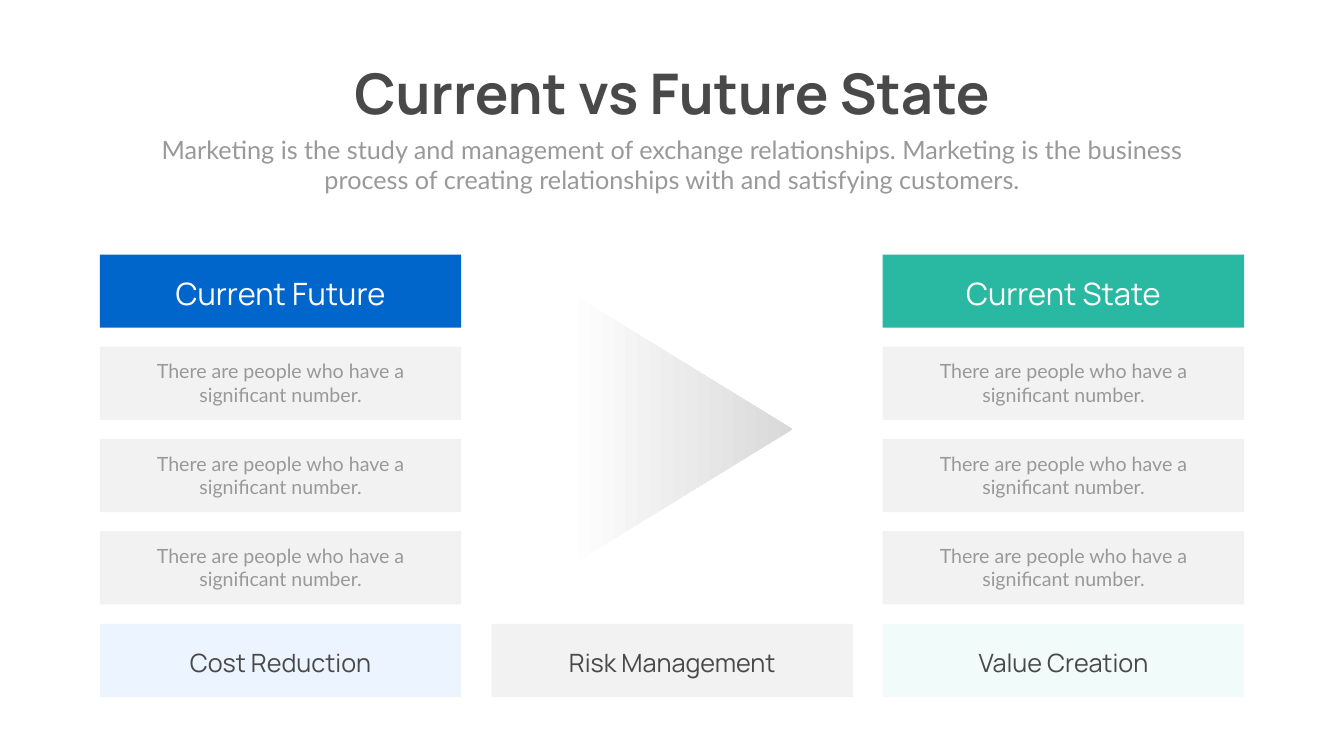
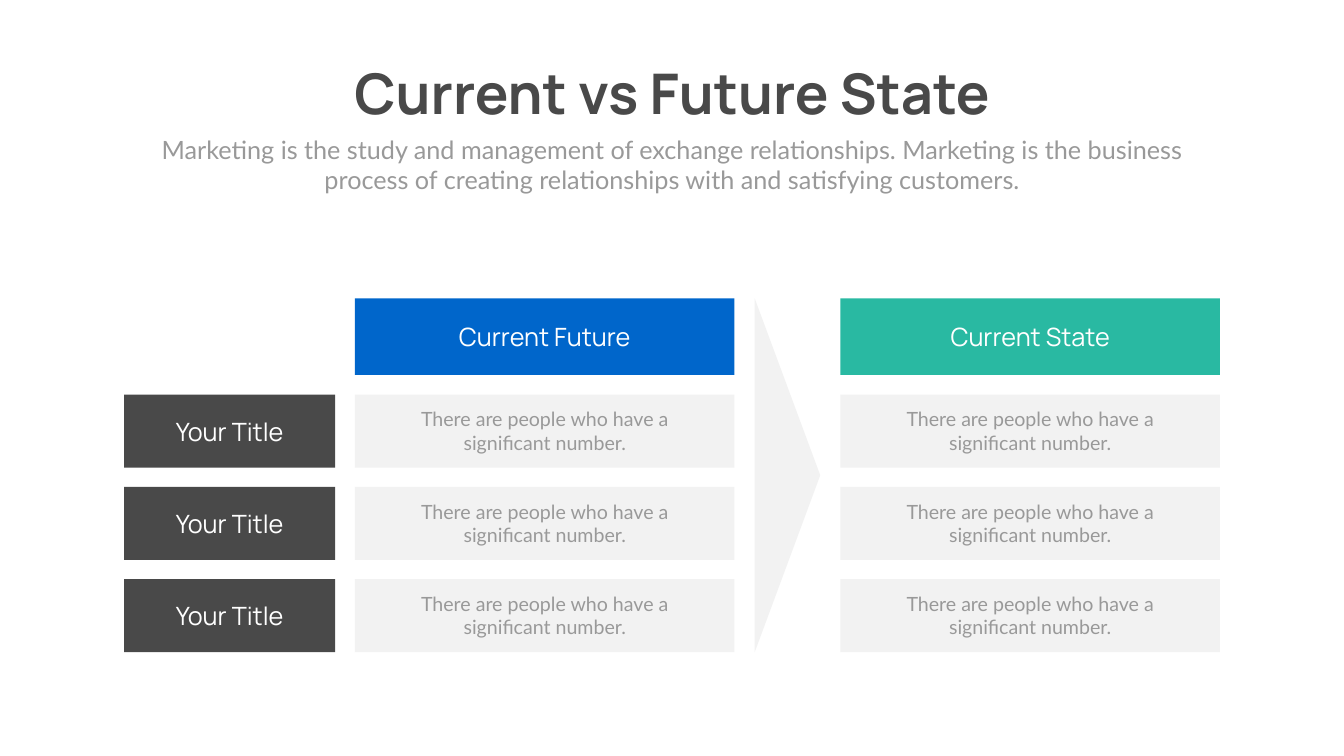
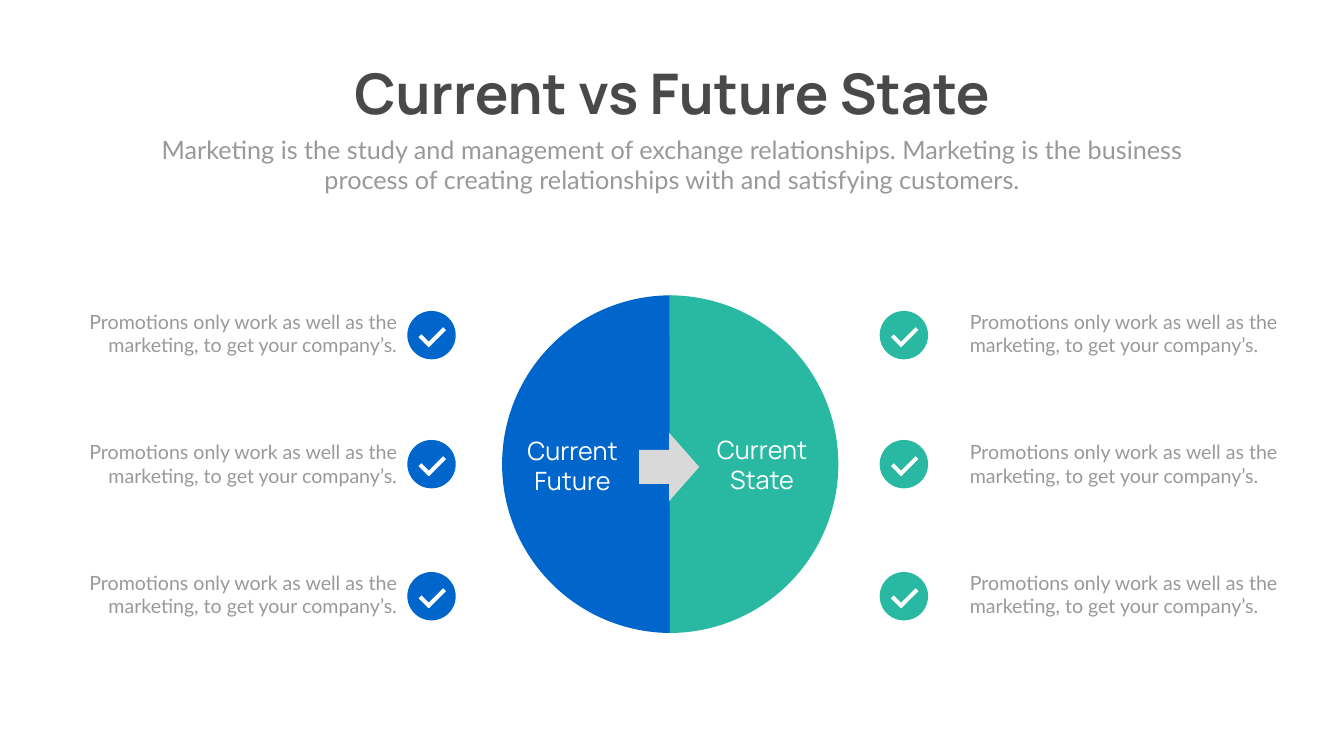
from lxml.etree import SubElement
from pptx import Presentation
from pptx.dml.color import RGBColor
from pptx.enum.shapes import MSO_SHAPE as SHAPE
from pptx.enum.text import MSO_ANCHOR as ANCHOR, MSO_AUTO_SIZE as AUTO, PP_ALIGN as ALIGN
from pptx.oxml.ns import qn
from pptx.util import Inches, Pt

BLUE, TEAL, DARK, GREY = "0066CB", "29B9A2", "494949", "999999"
PALE, SILVER, WHITE = "F2F2F2", "D9D9D9", "FFFFFF"
PALE_BLUE, PALE_TEAL = "C2E0FF", "D1F5EF"
HEAD, BODY = "Manrope", "Lato"
TITLE = "Current vs Future State"
SUBTITLE = ("Marketing is the study and management of exchange relationships. "
            "Marketing is the business process of creating relationships with "
            "and satisfying customers.")
PEOPLE = "There are people who have a significant number."
PROMOTION = "Promotions only work as well as the marketing, to get your company’s."
SIDES = [("Current Future", BLUE), ("Current State", TEAL)]


def rgb(value):
    return RGBColor.from_string(value)


class Deck:
    """Holds the shared style and the slide being built."""

    def __init__(self):
        self.prs = Presentation()
        self.prs.slide_width, self.prs.slide_height = Inches(26.66), Inches(15)

    def add_slide(self):
        self.slide = self.prs.slides.add_slide(self.prs.slide_layouts[5])
        self.shapes = self.slide.shapes
        title = self.shapes.title
        title.left, title.top = Inches(6.57), Inches(1.12)
        title.width, title.height = Inches(13.53), Inches(1.45)
        self.add_text(title, TITLE, 80, HEAD, DARK, bold=True, wrap=False)
        self.fit(title)
        self.text(2.92, 2.61, 20.82, 1.31, SUBTITLE, 36)

    def start_group(self):
        self.shapes = self.slide.shapes.add_group_shape().shapes

    def end_group(self):
        self.shapes = self.slide.shapes

    def fit(self, sp):
        sp.text_frame.vertical_anchor = ANCHOR.TOP
        sp.text_frame.auto_size = AUTO.SHAPE_TO_FIT_TEXT

    def add_text(self, sp, text, size, font, color, align=ALIGN.CENTER, bold=False, wrap=True):
        tf = sp.text_frame
        tf.word_wrap = wrap
        p = tf.paragraphs[0]
        p.alignment = align
        r = p.add_run()
        r.text = text
        r.font.size, r.font.name, r.font.bold = Pt(size), font, bold
        r.font.color.rgb = rgb(color)

    def text(self, x, y, w, h, text, size=28, font=BODY, color=GREY, align=ALIGN.CENTER):
        sp = self.shapes.add_textbox(Inches(x), Inches(y), Inches(w), Inches(h))
        self.add_text(sp, text, size, font, color, align)
        self.fit(sp)

    def shape(self, x, y, w, h, fill, kind=SHAPE.RECTANGLE, rotation=0, alpha=None):
        sp = self.shapes.add_shape(kind, Inches(x), Inches(y), Inches(w), Inches(h))
        sp.shadow.inherit = False
        sp.line.fill.background()
        sp.rotation = rotation
        sp.fill.solid()
        sp.fill.fore_color.rgb = rgb(fill)
        if alpha:
            color = sp.element.spPr.find(".//" + qn("a:srgbClr"))
            SubElement(color, qn("a:alpha")).set("val", str(alpha * 1000))
        return sp

    def label(self, x, y, w, h, fill, text):
        sp = self.shape(x, y, w, h, fill)
        sp.text_frame.vertical_anchor = ANCHOR.MIDDLE
        self.add_text(sp, text, 36, HEAD, WHITE)

    def fading_triangle(self, x, y, w, h):
        sp = self.shape(x, y, w, h, SILVER, SHAPE.ISOSCELES_TRIANGLE, 90)
        sp.fill.gradient()
        sp.fill.gradient_angle = 90
        for stop, color in zip(sp.fill.gradient_stops, (WHITE, SILVER)):
            stop.color.rgb = rgb(color)

    def half_circle(self, x, y, size, fill, start, end):
        sp = self.shape(x, y, size, size, fill, SHAPE.CHORD)
        sp.adjustments[0], sp.adjustments[1] = start, end

    def check(self, x, y, fill):
        self.start_group()
        self.shape(x, y, 0.96, 0.96, fill, SHAPE.OVAL)
        self.shape(x + 0.21, y + 0.55, 0.28, 0.08, WHITE, rotation=45)
        self.shape(x + 0.33, y + 0.48, 0.48, 0.08, WHITE, rotation=315)
        self.end_group()


def columns_slide(s):
    s.add_slide()
    left, middle, right = 1.98, 9.75, 17.51
    top, step, w, h = 5.05, 1.83, 7.17, 1.45
    inset, text_w = 0.91, 5.35
    for x, (name, color) in zip((left, right), SIDES):
        s.shape(x, top, w, h, color)
        s.text(x + inset, top + 0.36, text_w, 0.84, name, 44, HEAD, WHITE)
        for row in range(1, 4):
            y = top + row * step
            s.shape(x, y, w, h, PALE)
            s.text(x + inset, y + 0.2, text_w, 1.04, PEOPLE)
    s.fading_triangle(10.71, 6.27, 5.52, 4.49)
    y = top + 4 * step + 0.01
    for x, name, fill, alpha in ((left, "Cost Reduction", PALE_BLUE, 30),
                                 (middle, "Risk Management", PALE, None),
                                 (right, "Value Creation", PALE_TEAL, 30)):
        s.shape(x, y, w, h, fill, alpha=alpha)
        s.text(x + inset, y + 0.41, text_w, 0.71, name, 36, HEAD, DARK)


def table_slide(s):
    s.add_slide()
    s.start_group()
    rows = [7.83 + 1.83 * i for i in range(3)]
    w, h = 7.53, 1.45
    for x, (name, color) in zip((7.04, 16.67), SIDES):
        s.label(x, 5.92, w, 1.52, color, name)
        for y in rows:
            s.shape(x, y, w, h, PALE)
            s.text(x + 0.95, y + 0.2, 5.63, 1.04, PEOPLE)
    s.shape(12.11, 8.78, 7.02, 1.3, PALE, SHAPE.ISOSCELES_TRIANGLE, 90)
    for y in rows:
        s.label(2.46, y, 4.19, h, DARK, "Your Title")


def circle_slide(s):
    s.add_slide()
    s.start_group()
    s.half_circle(9.96, 5.86, 6.7, BLUE, 54.1, 162)
    s.half_circle(9.93, 5.86, 6.7, TEAL, 162, 53.9)
    s.end_group()
    checks = (6.17, 8.73, 11.35)
    columns = ((8.08, 1.36, ALIGN.RIGHT), (17.45, 19.14, ALIGN.LEFT))
    names = ((9.83, 8.59), (13.59, 8.56))
    for (check_x, text_x, align), (x, y), (name, color) in zip(columns, names, SIDES):
        for row, check_y in enumerate(checks):
            s.check(check_x, check_y, color)
            s.text(text_x, 6.09 + 2.59 * row, 6.61, 1.04, PROMOTION, align=align)
        s.text(x, y, 3.05, 1.31, name, 36, HEAD, WHITE)
    s.shape(12.68, 8.59, 1.19, 1.35, SILVER, SHAPE.RIGHT_ARROW)


def main():
    s = Deck()
    columns_slide(s)
    table_slide(s)
    circle_slide(s)
    s.prs.save("out.pptx")


if __name__ == "__main__":
    main()
